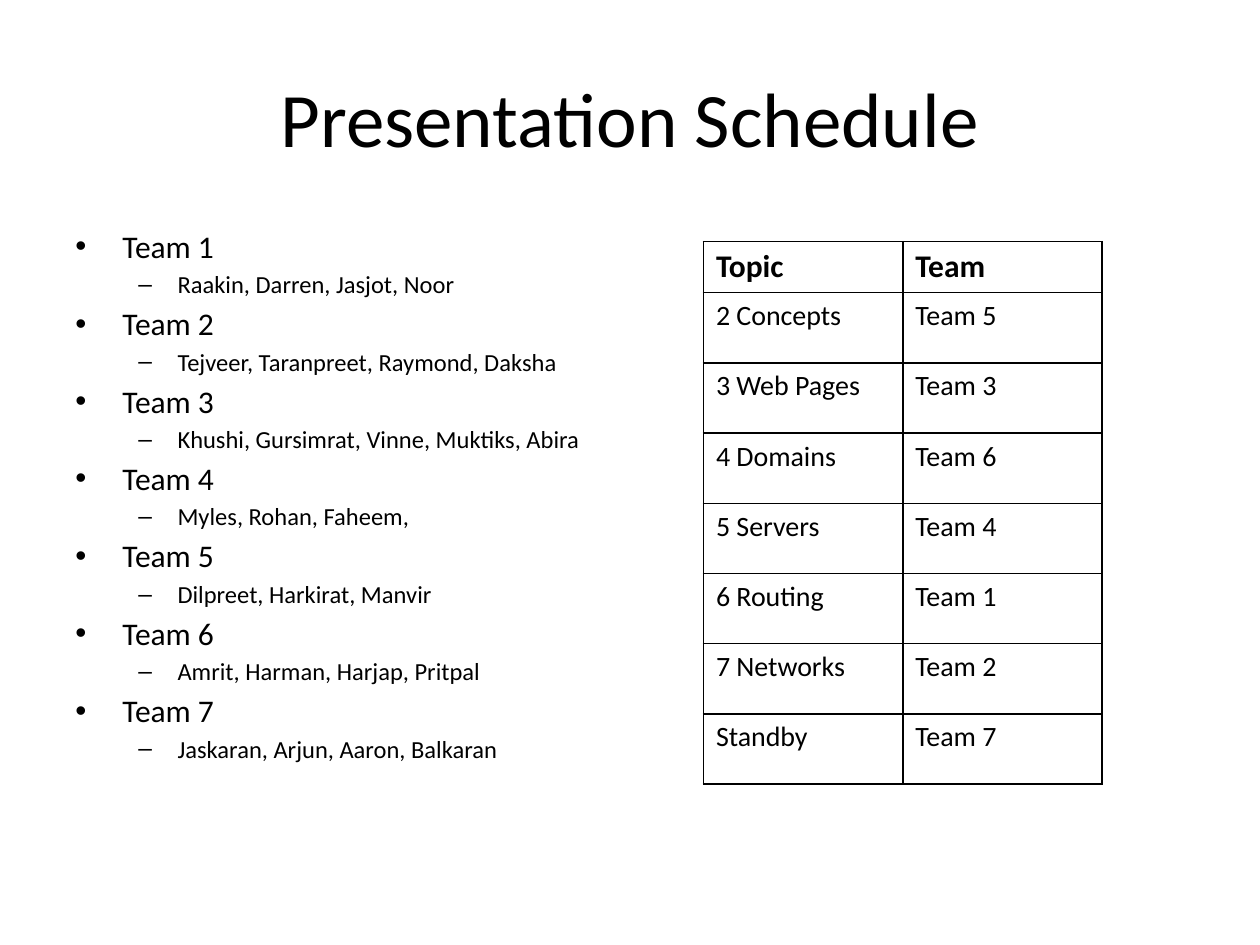
from lxml.etree import SubElement
from pptx import Presentation
from pptx.dml.color import RGBColor
from pptx.enum.text import MSO_ANCHOR, PP_ALIGN
from pptx.oxml.ns import qn
from pptx.util import Cm, Pt

BLACK = RGBColor(0x00, 0x00, 0x00)
FONT = "Calibri"

TEAMS = [
    "Raakin, Darren, Jasjot, Noor",
    "Tejveer, Taranpreet, Raymond, Daksha",
    "Khushi, Gursimrat, Vinne, Muktiks, Abira",
    "Myles, Rohan, Faheem,",
    "Dilpreet, Harkirat, Manvir",
    "Amrit, Harman, Harjap, Pritpal",
    "Jaskaran, Arjun, Aaron, Balkaran",
]
SCHEDULE = [
    ("Topic", "Team"),
    ("2 Concepts", "Team 5"),
    ("3 Web Pages", "Team 3"),
    ("4 Domains", "Team 6"),
    ("5 Servers", "Team 4"),
    ("6 Routing", "Team 1"),
    ("7 Networks", "Team 2"),
    ("Standby", "Team 7"),
]
# Per level: bullet, left margin, hanging indent, text size, space before
LEVELS = [
    ("•", Cm(0.95), Cm(0.95), 18, 3.2),
    ("–", Cm(2.06), Cm(0.79), 14, 2.6),
]


def format_text(paragraph, size, bold=False):
    for span in paragraph.runs:
        span.font.name = FONT
        span.font.size = Pt(size)
        span.font.bold = bold
        span.font.color.rgb = BLACK


def set_title(page, text):
    title = page.shapes.title
    title.left, title.top, title.width, title.height = Cm(1.27), Cm(0.76), Cm(22.86), Cm(3.18)
    title.text_frame.text = text
    title.text_frame.vertical_anchor = MSO_ANCHOR.MIDDLE
    paragraph = title.text_frame.paragraphs[0]
    paragraph.alignment = PP_ALIGN.CENTER
    format_text(paragraph, 44)


def set_bullet(paragraph, level):
    bullet, margin, hanging, size, space = LEVELS[level]
    paragraph.level = level
    properties = paragraph._p.get_or_add_pPr()
    properties.set("marL", str(margin))
    properties.set("indent", str(-hanging))
    SubElement(properties, qn("a:buFont"), typeface="Arial")
    SubElement(properties, qn("a:buChar"), char=bullet)
    paragraph.space_before = Pt(space)
    format_text(paragraph, size)


def add_team_list(page):
    box = page.shapes.add_textbox(Cm(1.27), Cm(4.45), Cm(11.23), Cm(12.57))
    frame = box.text_frame
    frame.word_wrap = True
    lines = []
    for number, members in enumerate(TEAMS, start=1):
        lines += [f"Team {number}", members]
    frame.text = "\n".join(lines)
    for index, paragraph in enumerate(frame.paragraphs):
        set_bullet(paragraph, index % 2)
    frame.paragraphs[0].space_before = Pt(0)


def set_borders(cell):
    properties = cell._tc.get_or_add_tcPr()
    for side in ("a:lnL", "a:lnR", "a:lnT", "a:lnB"):
        line = SubElement(properties, qn(side), w=str(Pt(1)))
        fill = SubElement(line, qn("a:solidFill"))
        SubElement(fill, qn("a:srgbClr"), val=str(BLACK))


def add_schedule(page):
    header_height, row_height, column_width = Cm(1.03), Cm(1.415), Cm(4.02)
    row_count, column_count = len(SCHEDULE), len(SCHEDULE[0])
    table = page.shapes.add_table(
        row_count, column_count, Cm(14.18), Cm(4.87),
        column_width * column_count, header_height + row_height * (row_count - 1),
    ).table
    table.horz_banding = False
    for column in table.columns:
        column.width = column_width
    for index, values in enumerate(SCHEDULE):
        is_header = index == 0
        table.rows[index].height = header_height if is_header else row_height
        for cell, value in zip(table.rows[index].cells, values):
            cell.text_frame.text = value
            format_text(cell.text_frame.paragraphs[0], 18 if is_header else 16, is_header)
            set_borders(cell)
            cell.fill.background()


def main():
    deck = Presentation()
    deck.slide_width, deck.slide_height = Cm(25.4), Cm(19.05)
    page = deck.slides.add_slide(deck.slide_layouts[5])

    # Heading, teams on the left, schedule on the right
    set_title(page, "Presentation Schedule")
    add_team_list(page)
    add_schedule(page)

    deck.save("out.pptx")


if __name__ == "__main__":
    main()
